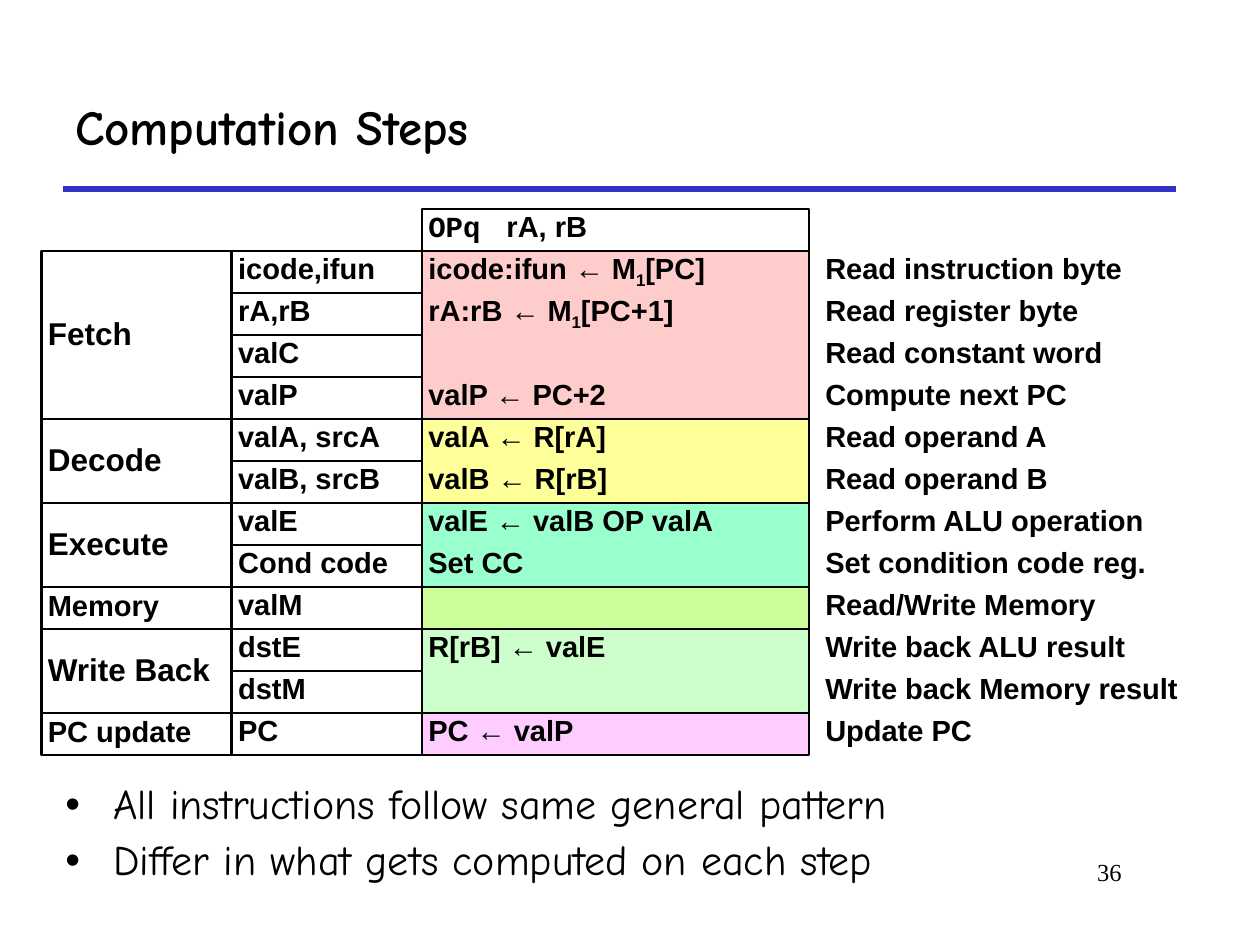
import lxml.etree
import pptx
import pptx.dml.color
import pptx.enum.shapes
import pptx.enum.text
import pptx.oxml.ns
import pptx.util

Inches, Pt = pptx.util.Inches, pptx.util.Pt
ANCHOR = pptx.enum.text.MSO_ANCHOR
qn = pptx.oxml.ns.qn

COLORS = {
    "text": "000000", "rule": "3333CC",
    "Fetch": "FFCCCC", "Decode": "FFFF99", "Execute": "99FFCC",
    "Memory": "CCFF99", "Write Back": "CCFFCC", "PC update": "FFCCFF",
}
TITLE = "Computation Steps"
INSTRUCTION = ("OPq", "rA, rB")
STAGES = [
    ("Fetch", [
        ("icode,ifun", ("icode:ifun ← M", "1", "[PC]"), "Read instruction byte"),
        ("rA,rB", ("rA:rB ← M", "1", "[PC+1]"), "Read register byte"),
        ("valC", (), "Read constant word"),
        ("valP", ("valP ← PC+2",), "Compute next PC"),
    ]),
    ("Decode", [
        ("valA, srcA", ("valA ← R[rA]",), "Read operand A"),
        ("valB, srcB", ("valB ← R[rB]",), "Read operand B"),
    ]),
    ("Execute", [
        ("valE", ("valE ← valB OP valA",), "Perform ALU operation"),
        ("Cond code", ("Set CC",), "Set condition code reg."),
    ]),
    ("Memory", [("valM", (), "Read/Write Memory")]),
    ("Write Back", [
        ("dstE", ("R[rB] ← valE",), "Write back ALU result"),
        ("dstM", (), "Write back Memory result"),
    ]),
    ("PC update", [("PC", ("PC ← valP",), "Update PC")]),
]
TAKEAWAYS = [
    "All instructions follow same general pattern",
    "Differ in what gets computed on each step",
]
PAGE = "36"

GRID_TOP, ROW = 1.66, 1 / 3
STAGE_COL, VALUE_COL = (0.33, 1.51), (1.84, 1.51)
STEP_COL, MEANING_COL = (3.35, 3.07), (6.5, 3.33)
CELL_SIZE, STAGE_SIZE = 16.6, 18


def rgb(name):
    return pptx.dml.color.RGBColor.from_string(COLORS[name])


def style(font, size, face, bold=False):
    font.size, font.name, font.bold = Pt(size), face, bold
    font.color.rgb = rgb("text")


def text_frame(shape, anchor=ANCHOR.TOP, inset=0.05):
    frame = shape.text_frame
    frame.word_wrap = True
    frame.vertical_anchor = anchor
    frame.margin_left = frame.margin_right = Inches(inset)
    frame.margin_top = frame.margin_bottom = Inches(0.05)
    return frame


def add_text(slide, left, top, width, height, anchor=ANCHOR.TOP, inset=0.1):
    box = slide.shapes.add_textbox(*map(Inches, (left, top, width, height)))
    return text_frame(box, anchor, inset)


def add_cell(slide, column, row, rows=1, fill=None, outlined=True):
    left, width = column
    cell = slide.shapes.add_shape(
        pptx.enum.shapes.MSO_SHAPE.RECTANGLE, Inches(left),
        Inches(GRID_TOP + row * ROW), Inches(width), Inches(rows * ROW))
    cell.shadow.inherit = False
    if fill:
        cell.fill.solid()
        cell.fill.fore_color.rgb = rgb(fill)
    else:
        cell.fill.background()
    if outlined:
        cell.line.color.rgb = rgb("text")
        cell.line.width = Pt(1.5)
    else:
        cell.line.fill.background()
    return cell


def write(frame, parts, size=CELL_SIZE, spacing=0.8):
    paragraph = frame.paragraphs[0]
    paragraph.alignment = pptx.enum.text.PP_ALIGN.LEFT
    paragraph.line_spacing = spacing
    style(paragraph.font, size, "Arial", True)
    for index, part in enumerate(parts):
        run = paragraph.add_run()
        run.text = part
        if index % 2:
            run.font._element.set("baseline", "-25000")


def add_header(slide):
    frame = text_frame(add_cell(slide, STEP_COL, 0))
    paragraph = frame.paragraphs[0]
    tabs = lxml.etree.SubElement(paragraph._p.get_or_add_pPr(), qn("a:tabLst"))
    lxml.etree.SubElement(tabs, qn("a:tab"), pos=str(Inches(0.62)), algn="l")
    operation, operands = INSTRUCTION
    write(frame, [operation])
    paragraph.runs[0].font.name = "Courier New"
    paragraph.add_run().text = "\t" + operands


def add_stage(slide, name, steps, first):
    count = len(steps)
    single = count == 1
    for row, (value, step, meaning) in enumerate(steps, first):
        cell = add_cell(slide, STEP_COL, row, fill=name, outlined=single)
        if step:
            write(text_frame(cell), step, spacing=0.7 if len(step) > 1 else 0.8)
        write(text_frame(add_cell(slide, VALUE_COL, row)), [value])
        left, width = MEANING_COL
        write(add_text(slide, left, GRID_TOP + row * ROW, width, ROW, inset=0.05),
              [meaning])
    if not single:
        add_cell(slide, STEP_COL, first, count)
    label = text_frame(add_cell(slide, STAGE_COL, first, count), ANCHOR.MIDDLE)
    write(label, [name], CELL_SIZE if single else STAGE_SIZE, 0.8 if single else 0.9)


def add_takeaways(slide):
    frame = add_text(slide, 0.42, 6.17, 9.08, 1.09)
    for index, takeaway in enumerate(TAKEAWAYS):
        paragraph = frame.add_paragraph() if index else frame.paragraphs[0]
        paragraph.text = takeaway
        paragraph.line_spacing = 0.9
        if index:
            paragraph.space_before = Pt(6)
        properties = paragraph._p.get_or_add_pPr()
        properties.set("marL", str(Inches(0.38)))
        properties.set("indent", str(Inches(-0.38)))
        lxml.etree.SubElement(properties, qn("a:buFont"), typeface="Arial")
        lxml.etree.SubElement(properties, qn("a:buChar"), char="•")
        style(paragraph.font, 24, "Comic Neue")


def main():
    deck = pptx.Presentation()
    deck.slide_width, deck.slide_height = Inches(10), Inches(7.5)
    slide = deck.slides.add_slide(deck.slide_layouts[6])

    rule = slide.shapes.add_connector(
        pptx.enum.shapes.MSO_CONNECTOR.STRAIGHT,
        Inches(0.5), Inches(1.5), Inches(9.33), Inches(1.5))
    rule.line.color.rgb = rgb("rule")
    rule.line.width = Pt(3)
    lxml.etree.SubElement(rule._element.spPr, qn("a:effectLst"))

    title = add_text(slide, 0.5, 0.5, 8.83, 1, ANCHOR.MIDDLE).paragraphs[0]
    title.text = TITLE
    style(title.font, 28, "Comic Neue", True)

    add_header(slide)
    row = 1
    for name, steps in STAGES:
        add_stage(slide, name, steps, row)
        row += len(steps)

    add_takeaways(slide)
    page = add_text(slide, 7.58, 6.75, 1.42, 0.5).paragraphs[0]
    page.text = PAGE
    page.alignment = pptx.enum.text.PP_ALIGN.RIGHT
    style(page.font, 14, "Times New Roman")

    deck.save("out.pptx")


if __name__ == "__main__":
    main()
